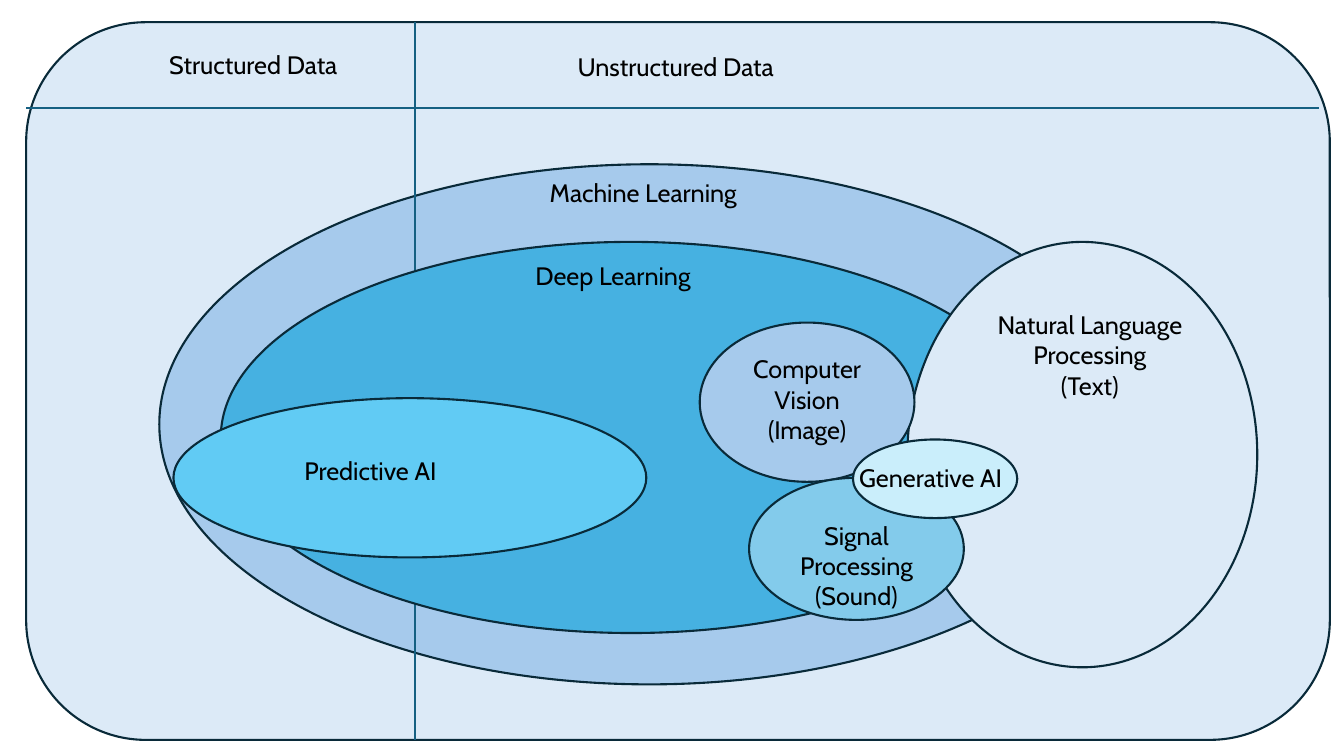
from lxml import etree
from pptx import Presentation
from pptx.dml.color import RGBColor
from pptx.enum.shapes import MSO_CONNECTOR, MSO_SHAPE
from pptx.enum.text import MSO_AUTO_SIZE, PP_ALIGN
from pptx.oxml.ns import qn
from pptx.util import Inches, Pt

FONT = "Cabin"
HEX = {
    "ink": "000000", "edge": "092A39", "rule": "156082",
    "pale": "DCEAF7", "learn": "A6CAEC", "deep": "46B1E1",
    "sound": "83CBEB", "gen": "CAEEFB", "pred": "61CBF4",
}


def color(name):
    return RGBColor.from_string(HEX[name])


def add_area(slide, box, fill, kind=MSO_SHAPE.OVAL):
    """Draw one outlined region of the diagram."""
    area = slide.shapes.add_shape(kind, *map(Inches, box))
    area.shadow.inherit = False
    area.fill.solid()
    area.fill.fore_color.rgb = color(fill)
    area.line.color.rgb = color("edge")
    area.line.width = Pt(1.5)


def add_text(slide, box, text, size=18, ink="ink", align=PP_ALIGN.CENTER):
    """Place a label; each line of text becomes a paragraph."""
    frame = slide.shapes.add_textbox(*map(Inches, box)).text_frame
    frame.word_wrap = True
    frame.auto_size = MSO_AUTO_SIZE.SHAPE_TO_FIT_TEXT
    frame.text = text
    for para in frame.paragraphs:
        para.alignment = align
        para.font.name = FONT
        para.font.size = Pt(size)
        para.font.color.rgb = color(ink)


def add_rule(slide, *ends):
    rule = slide.shapes.add_connector(MSO_CONNECTOR.STRAIGHT, *map(Inches, ends))
    rule.line.color.rgb = color("rule")
    rule.line.width = Pt(1.5)
    etree.SubElement(rule._element.spPr, qn("a:effectLst"))


def add_field(slide, box, fill, label_box, text, **style):
    """Draw an ellipse with its label."""
    add_area(slide, box, fill)
    add_text(slide, label_box, text, **style)


def main():
    deck = Presentation()
    deck.slide_width, deck.slide_height = Inches(13.33), Inches(7.5)
    slide = deck.slides.add_slide(deck.slide_layouts[6])
    left = {"align": PP_ALIGN.LEFT}

    add_area(slide, (0.26, 0.22, 12.93, 7.12), "pale", MSO_SHAPE.ROUNDED_RECTANGLE)
    add_text(slide, (1.58, 0.44, 3.81, 0.4), "Structured Data", **left)
    add_rule(slide, 0.26, 1.07, 13.08, 1.07)
    add_text(slide, (5.63, 0.46, 3.81, 0.4), "Unstructured Data", **left)

    add_field(slide, (1.58, 1.63, 9.72, 5.16), "learn",
              (4.67, 1.71, 3.42, 0.42), "Machine Learning")
    add_rule(slide, 4.12, 0.22, 4.12, 7.34)

    fields = [
        ((2.19, 2.4, 8.14, 3.88), "deep",
         (4.29, 2.53, 3.58, 0.46), "Deep Learning"),
        ((9, 2.4, 3.47, 4.22), "pale",
         (9.63, 3.02, 2.36, 1.01), "Natural Language Processing\n(Text)"),
        ((6.94, 3.2, 2.13, 1.58), "learn",
         (7.14, 3.46, 1.73, 1.01), "Computer Vision\n(Image)"),
        ((7.43, 4.74, 2.13, 1.41), "sound",
         (7.63, 5.11, 1.73, 1.01), "Signal Processing (Sound)"),
        ((8.46, 4.36, 1.63, 0.78), "gen",
         (7.52, 4.54, 3.42, 0.42), "Generative AI"),
    ]
    for field in fields:
        add_field(slide, *field)
    add_field(slide, (1.72, 3.95, 4.69, 1.58), "pred",
              (2.92, 4.47, 1.92, 0.4), "Predictive AI", **left)

    deck.save("out.pptx")


if __name__ == "__main__":
    main()
